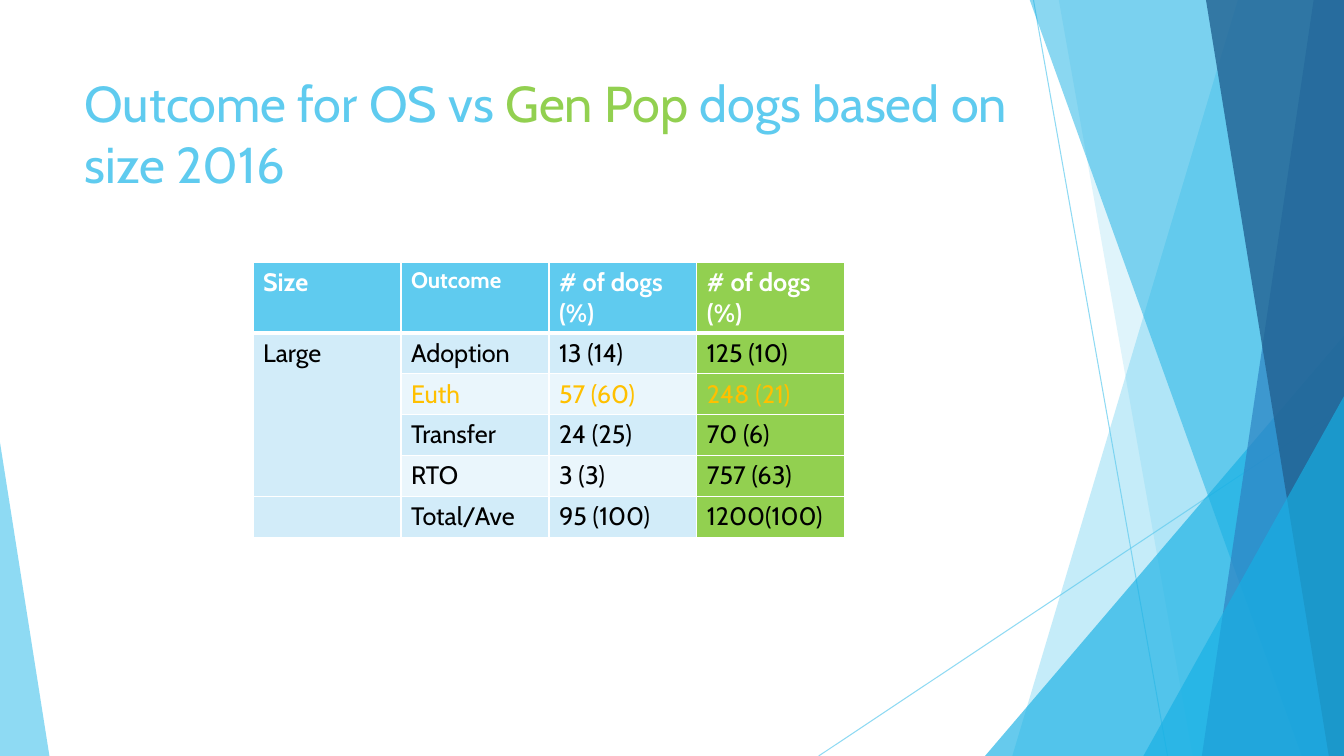
from lxml.etree import SubElement
from pptx import Presentation
from pptx.dml.color import RGBColor
from pptx.enum.shapes import MSO_CONNECTOR, MSO_SHAPE
from pptx.enum.text import MSO_ANCHOR
from pptx.oxml import parse_xml
from pptx.oxml.ns import nsdecls, qn
from pptx.util import Inches, Pt

SKY = RGBColor(0x5F, 0xCB, 0xEF)
CYAN = RGBColor(0x17, 0xB0, 0xE4)
BLUE = RGBColor(0x2E, 0x83, 0xC3)
NAVY = RGBColor(0x22, 0x62, 0x92)
GREEN = RGBColor(0x92, 0xD0, 0x50)
AMBER = RGBColor(0xFF, 0xC0, 0x00)
BAND_DARK = RGBColor(0xD2, 0xEC, 0xF9)
BAND_LIGHT = RGBColor(0xEA, 0xF6, 0xFC)
WHITE = RGBColor(0xFF, 0xFF, 0xFF)
BLACK = RGBColor(0x00, 0x00, 0x00)

RIGHT, TOP, BOTTOM = 13.33, -0.01, 7.5

OUTCOMES = [
    ("Size", "Outcome", "# of dogs (%)", "# of dogs (%)"),
    ("Large", "Adoption", "13 (14)", "125 (10)"),
    ("", "Euth", "57 (60)", "248 (21)"),
    ("", "Transfer", "24 (25)", "70 (6)"),
    ("", "RTO", "3 (3)", "757 (63)"),
    ("", "Total/Ave", "95 (100)", "1200(100)"),
]


def add_text(paragraph, text, *, size=18, color=BLACK, bold=False, font="Cabin"):
    run = paragraph.add_run()
    run.text = text
    run.font.name = font
    run.font.size = Pt(size)
    run.font.bold = bold
    run.font.color.rgb = color


def set_opacity(fill_parent, percent):
    color = fill_parent.find(f".//{qn('a:solidFill')}/{qn('a:srgbClr')}")
    SubElement(color, qn("a:alpha")).set("val", str(percent * 1000))


class SlideBuilder:
    def __init__(self, slide):
        self.slide = slide
        self.shapes = slide.shapes

    def paint(self, facet, color, opacity):
        facet.shadow.inherit = False
        facet.fill.solid()
        facet.fill.fore_color.rgb = color
        facet.line.fill.background()
        set_opacity(facet._element.spPr, opacity)

    def ray(self, start, end):
        ray = self.shapes.add_connector(
            MSO_CONNECTOR.STRAIGHT, *(Inches(v) for v in (*start, *end)))
        ray.line.color.rgb = SKY
        ray.line.width = Pt(0.75)
        properties = ray._element.spPr
        set_opacity(properties, 70)
        SubElement(properties, qn("a:effectLst"))

    def facet(self, top_x, bottom_x, color, opacity):
        outline = self.shapes.build_freeform(Inches(top_x), Inches(TOP))
        corners = [(RIGHT, TOP), (RIGHT, BOTTOM), (bottom_x, BOTTOM)]
        outline.add_line_segments([(Inches(x), Inches(y)) for x, y in corners])
        self.paint(outline.convert_to_shape(), color, opacity)

    def triangle(self, left, top, width, apex, color, opacity):
        triangle = self.shapes.add_shape(
            MSO_SHAPE.ISOSCELES_TRIANGLE, Inches(left), Inches(top),
            Inches(width), Inches(BOTTOM - top))
        triangle.adjustments[0] = apex
        self.paint(triangle, color, opacity)

    def title(self, left, top, width, height, parts):
        frame = self.shapes.add_textbox(
            Inches(left), Inches(top), Inches(width), Inches(height)).text_frame
        frame.word_wrap = True
        frame.vertical_anchor = MSO_ANCHOR.TOP
        for text, color in parts:
            add_text(frame.paragraphs[0], text, size=36, color=color)

    def style_cell(self, cell, fill, top_width, bottom_width):
        cell.fill.solid()
        cell.fill.fore_color.rgb = fill
        borders = {"L": 1, "R": 1, "T": top_width, "B": bottom_width}
        for index, (side, width) in enumerate(borders.items()):
            border = parse_xml(
                f'<a:ln{side} {nsdecls("a")} w="{Pt(width)}"><a:solidFill>'
                f'<a:srgbClr val="{WHITE}"/></a:solidFill></a:ln{side}>')
            cell._tc.get_or_add_tcPr().insert(index, border)

    def outcome_table(self, left, top, width, height, header_height, rows):
        table = self.shapes.add_table(
            len(rows), len(rows[0]), Inches(left), Inches(top),
            Inches(width), Inches(height)).table
        table.first_row = True
        table.horz_banding = False
        row_height = (height - header_height) / (len(rows) - 1)
        for r, values in enumerate(rows):
            header = r == 0
            table.rows[r].height = Inches(header_height if header else row_height)
            band = SKY if header else BAND_DARK if r % 2 else BAND_LIGHT
            ink = WHITE if header else AMBER if values[1] == "Euth" else BLACK
            for c, value in enumerate(values):
                cell = table.cell(r, c)
                fill = GREEN if c == 3 else band
                self.style_cell(cell, fill, 3 if r == 1 else 1, 3 if header else 1)
                if value:
                    add_text(cell.text_frame.paragraphs[0], value, color=ink,
                             bold=header, size=16 if value == "Outcome" else 18)
        table.cell(1, 0).merge(table.cell(4, 0))


def main():
    presentation = Presentation()
    presentation.slide_width = Inches(RIGHT)
    presentation.slide_height = Inches(BOTTOM)
    builder = SlideBuilder(
        presentation.slides.add_slide(presentation.slide_layouts[6]))

    builder.ray((10.25, 0), (11.58, BOTTOM))
    builder.ray((RIGHT, 4.03), (8.12, BOTTOM))
    builder.facet(12.28, 10.04, SKY, 36)
    builder.facet(10.5, 11.83, SKY, 20)
    builder.triangle(9.77, 3.33, 3.56, 1, CYAN, 66)
    builder.facet(10.21, 12.91, CYAN, 50)
    builder.facet(13.03, 11.92, BLUE, 70)
    builder.facet(11.96, 13.18, NAVY, 80)
    builder.triangle(11.34, 3.93, 1.99, 1, CYAN, 66)
    builder.triangle(0, 4.39, 0.49, 0, SKY, 70)

    builder.title(0.74, 0.67, 9.4, 1.44, [
        ("Outcome for OS vs ", SKY),
        ("Gen Pop ", GREEN),
        ("dogs based on size 2016", SKY),
    ])
    builder.outcome_table(2.51, 2.6, 5.87, 2.73, 0.7, OUTCOMES)
    presentation.save("out.pptx")


if __name__ == "__main__":
    main()
